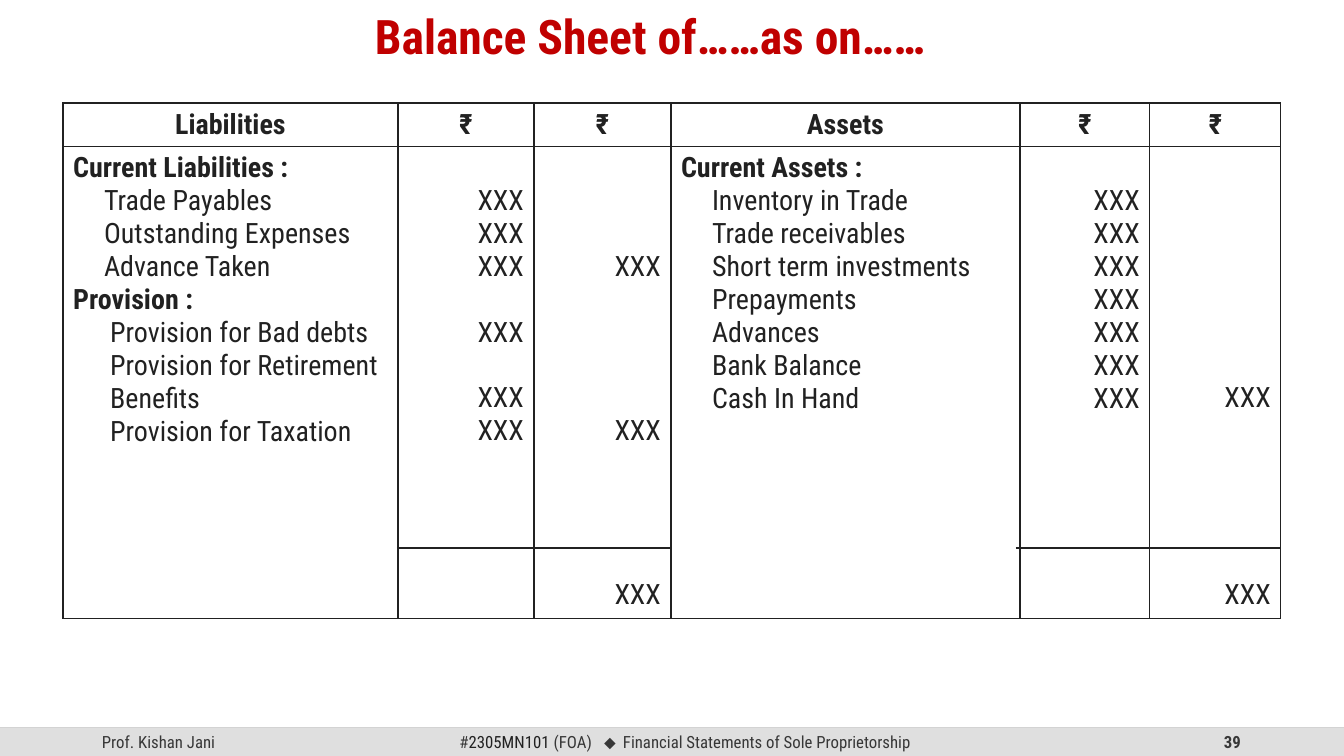
import pptx
import pptx.dml.color
import pptx.enum.shapes
import pptx.enum.text
import pptx.oxml
import pptx.oxml.ns
import pptx.util

# Content
TITLE = "Balance Sheet of……as on……"
HEADS = ["Liabilities", "₹", "₹", "Assets", "₹", "₹"]
# Each item: text, indent in px; no indent marks a bold heading
DEBTS = [
    ("Current Liabilities :", 0),
    ("Trade Payables", 31),
    ("Outstanding Expenses", 31),
    ("Advance Taken", 31),
    ("Provision :", 0),
    ("Provision for Bad debts", 37),
    ("Provision for Retirement Benefits", 37),
    ("Provision for Taxation", 37),
]
ASSETS = [
    ("Current Assets :", 0),
    ("Inventory in Trade", 31),
    ("Trade receivables", 31),
    ("Short term investments", 31),
    ("Prepayments", 31),
    ("Advances", 31),
    ("Bank Balance", 31),
    ("Cash In Hand", 31),
]
LISTS = {0: DEBTS, 3: ASSETS}
AMOUNT = "XXX"
# Text lines on which an amount stands, by column
SUMS = {1: [1, 2, 3, 5, 7, 8], 2: [3, 8, 13],
        4: [1, 2, 3, 4, 5, 6, 7], 5: [7, 13]}
WIDTHS = [335, 136, 137, 349, 130, 131]
HEIGHTS = [43, 471]
RULES = [(397, 671), (1016, 1281)]

FONT = "Roboto Condensed"
INK, GRAY = "212121", "373737"
PITCH = 23.44  # height of a 20 pt line, in points
ALIGN = pptx.enum.text.PP_ALIGN
LEFT, MID, RIGHT = ALIGN.LEFT, ALIGN.CENTER, ALIGN.RIGHT
# Each part: left, width, alignment, runs of text, colour, bold, font
FOOT = [
    (102, 300, LEFT, [("Prof. Kishan Jani", GRAY, False, FONT)]),
    (392, 200, RIGHT, [("#", GRAY, False, FONT), ("2305MN101 ", INK, False, FONT),
                       ("(FOA)", GRAY, False, FONT)]),
    (600, 20, MID, [("⬥", GRAY, False, "Arial")]),
    (623, 310, LEFT, [("Financial Statements of Sole Proprietorship",
                       GRAY, False, FONT)]),
    (1141, 100, RIGHT, [("39", GRAY, True, FONT)]),
]


def px(size):
    return pptx.util.Emu(round(size * 914400 / 100.8))


def paint(code):
    return pptx.dml.color.RGBColor.from_string(code)


def style(run, size, code, bold=False, face=FONT):
    run.font.size = pptx.util.Pt(size)
    run.font.name = face
    run.font.bold = bold
    run.font.color.rgb = paint(code)


def write(para, text, bold=False, align=LEFT):
    para.text = text
    para.alignment = align
    style(para.runs[0], 20, INK, bold)


def rule(left, right, top, code, points):
    line = slide.shapes.add_connector(
        pptx.enum.shapes.MSO_CONNECTOR.STRAIGHT, px(left), px(top), px(right), px(top))
    line.line.color.rgb = paint(code)
    line.line.width = pptx.util.Pt(points)
    props = line._element.spPr
    props.append(props.makeelement(pptx.oxml.ns.qn("a:effectLst"), {}))


def border(cell):
    props = cell._tc.get_or_add_tcPr()
    for spot, side in enumerate(("lnL", "lnR", "lnT", "lnB")):
        props.insert(spot, pptx.oxml.parse_xml(
            f'<a:{side} {pptx.oxml.ns.nsdecls("a")} w="12700"><a:solidFill>'
            f'<a:srgbClr val="{INK}"/></a:solidFill></a:{side}>'))


def next_para(frame, count):
    return frame.add_paragraph() if count else frame.paragraphs[0]


deck = pptx.Presentation()
deck.slide_width, deck.slide_height = px(1344), px(756)
slide = deck.slides.add_slide(deck.slide_layouts[5])

# Title
title = slide.shapes.title
title.left, title.top, title.width, title.height = px(0), px(0), px(1300), px(79)
frame = title.text_frame
frame.text = TITLE
frame.auto_size = pptx.enum.text.MSO_AUTO_SIZE.NONE
frame.vertical_anchor = pptx.enum.text.MSO_ANCHOR.MIDDLE
frame.paragraphs[0].alignment = MID
frame.paragraphs[0].line_spacing = 0.9
style(frame.paragraphs[0].runs[0], 34, "C00000", True)

# Footer
rule(0, 1344, 728, "D2D2D2", 1)
band = slide.shapes.add_shape(
    pptx.enum.shapes.MSO_SHAPE.RECTANGLE, px(0), px(728), px(1344), px(28))
band.shadow.inherit = False
band.fill.solid()
band.fill.fore_color.rgb = paint("DFDFDF")
band.line.fill.background()
for left, width, align, runs in FOOT:
    frame = slide.shapes.add_textbox(px(left), px(728), px(width), px(28)).text_frame
    frame.word_wrap = True
    frame.margin_left = frame.margin_right = 0
    frame.vertical_anchor = pptx.enum.text.MSO_ANCHOR.MIDDLE
    para = frame.paragraphs[0]
    para.alignment = align
    for text, code, bold, face in runs:
        run = para.add_run()
        run.text = text
        style(run, 12, code, bold, face)

# Table grid
table = slide.shapes.add_table(
    2, len(WIDTHS), px(63), px(103), px(sum(WIDTHS)), px(sum(HEIGHTS))).table
table.first_row = table.horz_banding = False
for col, width in zip(table.columns, WIDTHS):
    col.width = px(width)
for row, height in zip(table.rows, HEIGHTS):
    row.height = px(height)
for cell in table.iter_cells():
    cell.fill.background()
    border(cell)

# Table text
for col, head in enumerate(HEADS):
    write(table.cell(0, col).text_frame.paragraphs[0], head, True, MID)
for col, items in LISTS.items():
    frame = table.cell(1, col).text_frame
    for count, (text, indent) in enumerate(items):
        para = next_para(frame, count)
        write(para, text, not indent)
        para._p.get_or_add_pPr().set("marL", str(px(indent)))

# Amounts, set on their lines by spacing
for col, lines in SUMS.items():
    cell = table.cell(1, col)
    cell.margin_top = px(5) + pptx.util.Pt(PITCH * lines[0])
    for count, line in enumerate(lines):
        para = next_para(cell.text_frame, count)
        write(para, AMOUNT, align=RIGHT)
        if count:
            para.space_before = pptx.util.Pt(PITCH * (line - lines[count - 1] - 1))

# Lines above the totals
for left, right in RULES:
    rule(left, right, 548, INK, 1.5)

deck.save("out.pptx")
